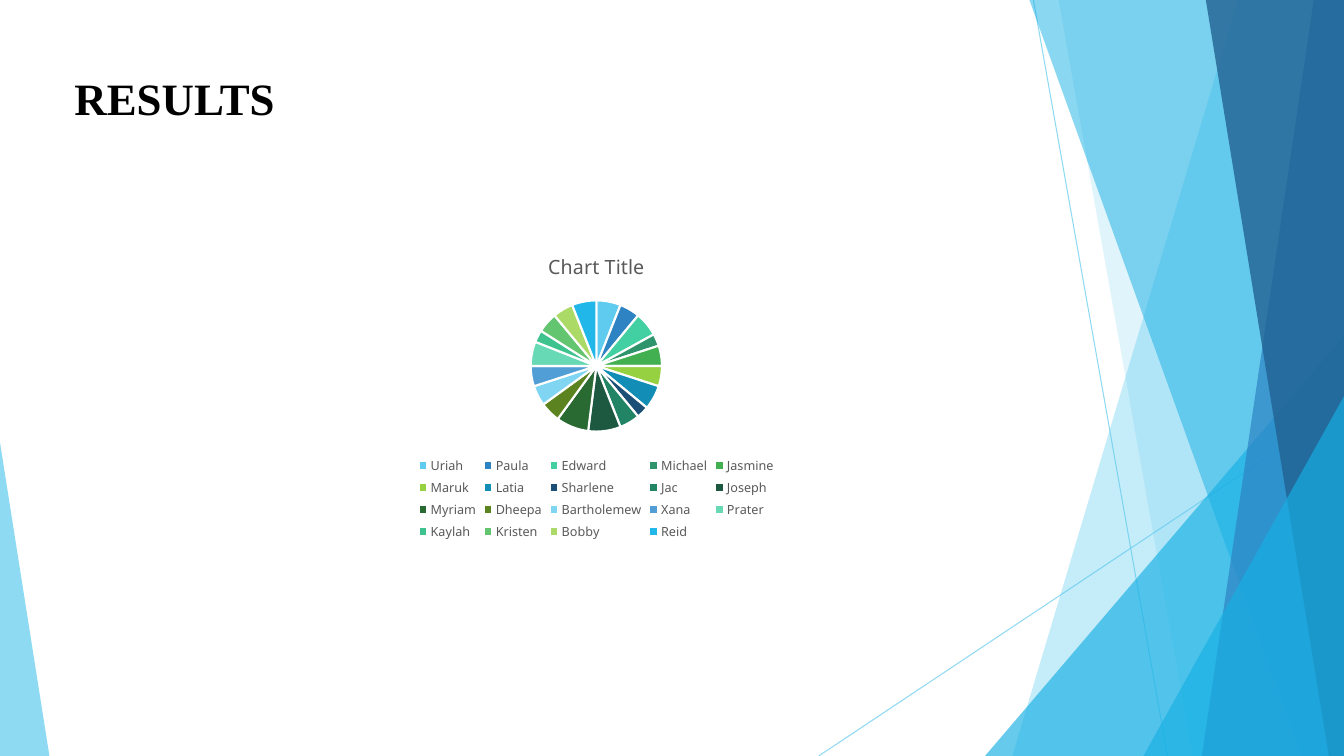
from dataclasses import dataclass

from lxml import etree
from pptx import Presentation
from pptx.chart.data import CategoryChartData
from pptx.dml.color import RGBColor
from pptx.enum.chart import XL_CHART_TYPE, XL_LEGEND_POSITION
from pptx.enum.shapes import MSO_CONNECTOR, MSO_SHAPE
from pptx.enum.text import MSO_AUTO_SIZE
from pptx.oxml.ns import qn
from pptx.util import Inches, Pt

WIDTH, HEIGHT = 13.33, 7.5


@dataclass(frozen=True)
class Theme:
    sky: str = "5FCBEF"
    cyan: str = "17B0E4"
    blue: str = "2E83C3"
    navy: str = "226292"
    black: str = "000000"
    grey: str = "595959"
    white: str = "FFFFFF"
    title_font: str = "Times New Roman"
    chart_font: str = "Noto Sans"
    title_size: int = 32
    chart_title_size: int = 14
    chart_size: int = 10
    legend_size: int = 9
    hairline: float = 0.75
    slice_gap: float = 1.5


class SlideBuilder:
    def __init__(self, slide, theme):
        self.slide, self.theme = slide, theme

    def set_opacity(self, fill, color, percent):
        fill.solid()
        fill.fore_color.rgb = RGBColor.from_string(color)
        return str(percent * 1000)

    def paint(self, sp, color, percent):
        sp.shadow.inherit = False
        sp.line.fill.background()
        self.add_alpha(sp.fill, sp, color, percent)

    def add_alpha(self, fill, sp, color, percent):
        value = self.set_opacity(fill, color, percent)
        clr = next(sp._element.spPr.iter(qn("a:srgbClr")))
        etree.SubElement(clr, qn("a:alpha")).set("val", value)

    def line(self, start, end, color, percent):
        cx = self.slide.shapes.add_connector(
            MSO_CONNECTOR.STRAIGHT, *map(Inches, start + end))
        cx.line.width = Pt(self.theme.hairline)
        self.add_alpha(cx.line.fill, cx, color, percent)
        etree.SubElement(cx._element.spPr, qn("a:effectLst"))

    def band(self, top_x, bottom_x, color, percent):
        """Full-height facet from a slanted left edge to the slide's right edge."""
        corners = [(WIDTH, 0), (WIDTH, HEIGHT), (bottom_x, HEIGHT)]
        fb = self.slide.shapes.build_freeform(Inches(top_x), 0, scale=1.0)
        fb.add_line_segments([(Inches(x), Inches(y)) for x, y in corners])
        self.paint(fb.convert_to_shape(), color, percent)

    def triangle(self, left, width, height, apex, color, percent):
        """Triangle standing on the bottom edge of the slide."""
        sp = self.slide.shapes.add_shape(
            MSO_SHAPE.ISOSCELES_TRIANGLE, Inches(left), Inches(HEIGHT - height),
            Inches(width), Inches(height))
        sp.adjustments[0] = apex
        self.paint(sp, color, percent)

    def style(self, font, name, size, color, bold=False):
        font.name, font.size, font.bold = name, Pt(size), bold
        font.color.rgb = RGBColor.from_string(color)

    def title(self, text, left, top, width, height):
        box = self.slide.shapes.add_textbox(*map(Inches, (left, top, width, height)))
        tf = box.text_frame
        tf.word_wrap = True
        tf.auto_size = MSO_AUTO_SIZE.SHAPE_TO_FIT_TEXT
        p = tf.paragraphs[0]
        p.text = text
        t = self.theme
        self.style(p.font, t.title_font, t.title_size, t.black, bold=True)

    def pie(self, title, slices, left, top, width, height):
        t = self.theme
        data = CategoryChartData()
        data.categories = [name for name, _, _ in slices]
        data.add_series("Series 1", [value for _, value, _ in slices])
        chart = self.slide.shapes.add_chart(
            XL_CHART_TYPE.PIE, *map(Inches, (left, top, width, height)), data).chart
        self.style(chart.font, t.chart_font, t.chart_size, t.black)

        chart.has_title = True
        p = chart.chart_title.text_frame.paragraphs[0]
        p.text = title
        self.style(p.font, t.chart_font, t.chart_title_size, t.grey)
        chart.chart_title.include_in_layout = False

        chart.has_legend = True
        chart.legend.position = XL_LEGEND_POSITION.BOTTOM
        chart.legend.include_in_layout = False
        self.style(chart.legend.font, t.chart_font, t.legend_size, t.grey)

        plot = chart.plots[0]
        plot.vary_by_categories = True
        for i, (_, _, color) in enumerate(slices):
            fmt = plot.series[0].points[i].format
            fmt.fill.solid()
            fmt.fill.fore_color.rgb = RGBColor.from_string(color)
            fmt.line.color.rgb = RGBColor.from_string(t.white)
            fmt.line.width = Pt(t.slice_gap)


RESULTS = [
    ("Uriah", 6, "5FCBEF"), ("Paula", 5, "2E83C3"), ("Edward", 6, "42D0A2"),
    ("Michael", 3, "2E946B"), ("Jasmine", 5, "42B051"), ("Maruk", 5, "96D141"),
    ("Latia", 6, "128DB6"), ("Sharlene", 3, "1C4F75"), ("Jac", 5, "218464"),
    ("Joseph", 8, "1C5940"), ("Myriam", 8, "286A31"), ("Dheepa", 5, "5B8420"),
    ("Bartholemew", 5, "7FD5F2"), ("Xana", 5, "519DD6"), ("Prater", 6, "68D9B5"),
    ("Kaylah", 3, "3EC38E"), ("Kristen", 5, "63C570"), ("Bobby", 5, "ABDA67"),
    ("Reid", 6, "22B7E9"),
]


def main():
    prs = Presentation()
    prs.slide_width, prs.slide_height = Inches(WIDTH), Inches(HEIGHT)
    theme = Theme()
    s = SlideBuilder(prs.slides.add_slide(prs.slide_layouts[6]), theme)

    # Facet decoration, back to front
    s.line((10.25, 0), (11.58, HEIGHT), theme.sky, 70)
    s.line((WIDTH, 4.03), (8.12, HEIGHT), theme.sky, 70)
    s.band(12.28, 10.04, theme.sky, 36)
    s.band(10.5, 11.83, theme.sky, 20)
    s.triangle(9.77, 3.56, 4.17, 1, theme.cyan, 66)
    s.band(10.21, 12.91, theme.cyan, 50)
    s.band(13.03, 11.92, theme.blue, 70)
    s.band(11.96, 13.18, theme.navy, 80)
    s.triangle(11.34, 1.99, 3.57, 1, theme.cyan, 66)
    s.triangle(0, 0.49, 3.11, 0, theme.sky, 70)

    # Heading and results chart
    s.title("RESULTS", 0.64, 0.65, 7.59, 0.64)
    s.pie("Chart Title", RESULTS, 2.65, 2.34, 6.53, 3.06)

    prs.save("out.pptx")


if __name__ == "__main__":
    main()
